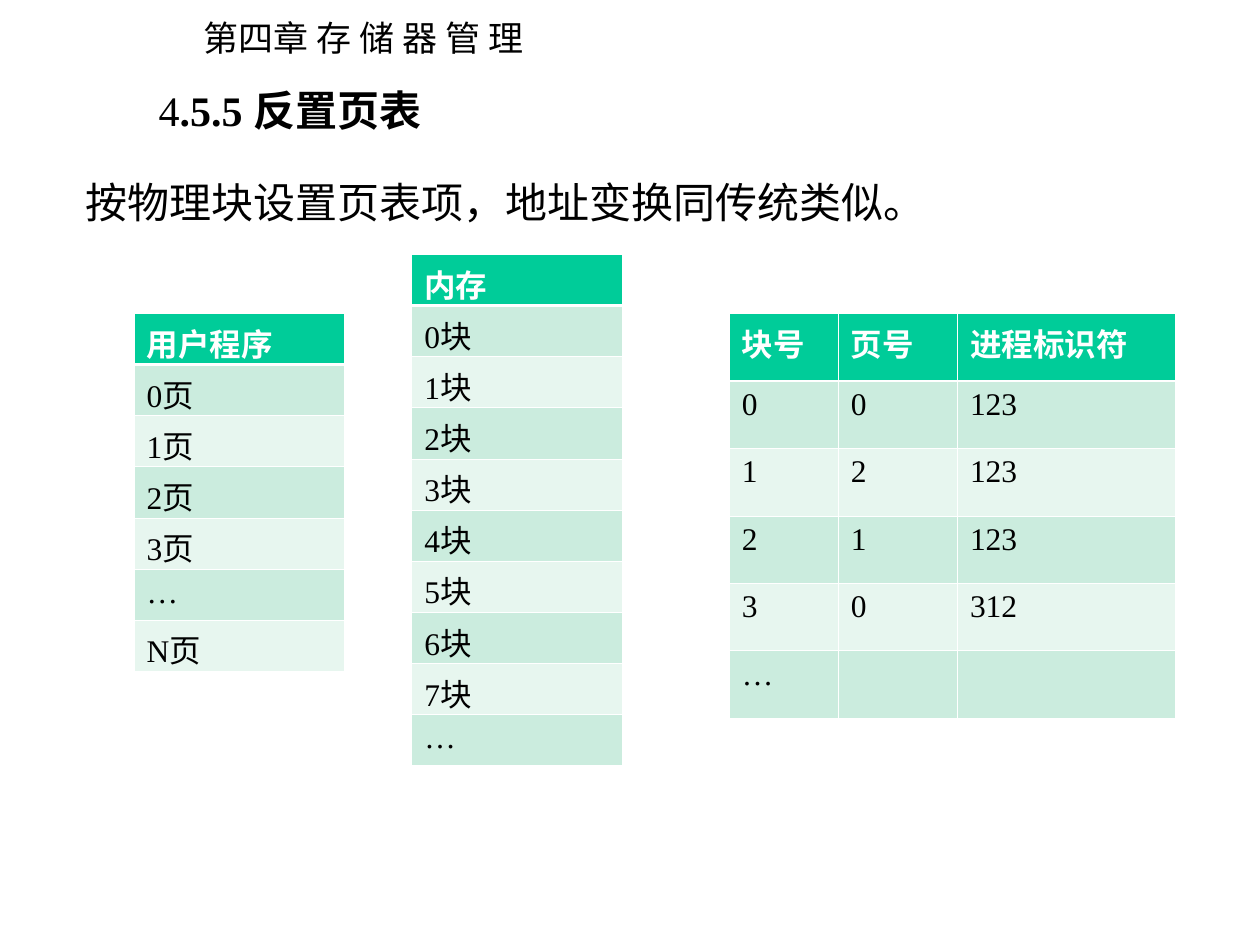
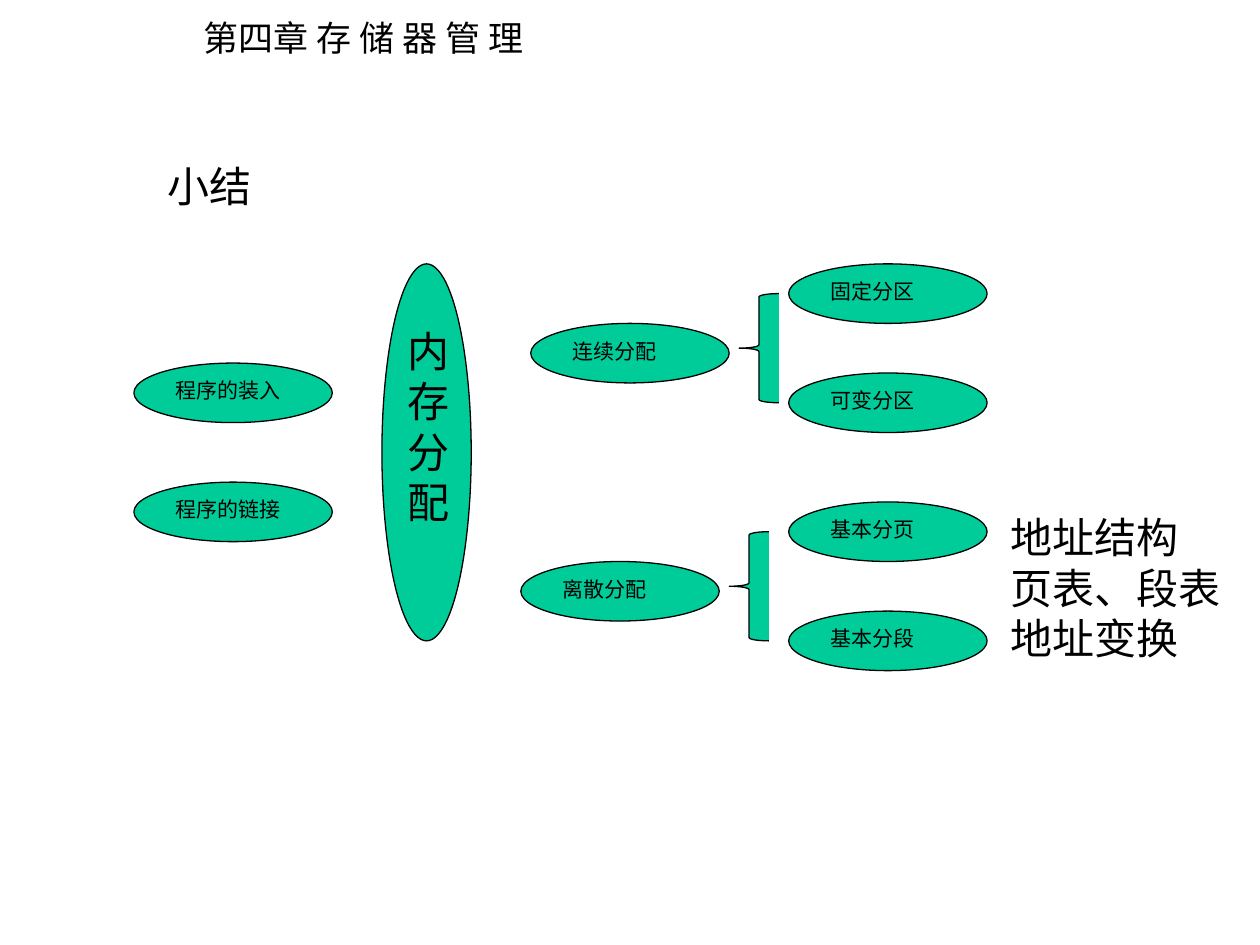
from lxml import etree
from pptx import Presentation
from pptx.dml.color import RGBColor
from pptx.enum.shapes import MSO_SHAPE
from pptx.enum.text import MSO_ANCHOR, PP_ALIGN
from pptx.oxml.ns import qn
from pptx.util import Cm, Pt

# Shared look
GREEN = RGBColor(0x00, 0xCC, 0x99)
BAND_DARK = RGBColor(0xCB, 0xEC, 0xDE)
BAND_LIGHT = RGBColor(0xE7, 0xF6, 0xEF)
BLACK = RGBColor(0, 0, 0)
WHITE = RGBColor(0xFF, 0xFF, 0xFF)
LATIN_FONT = "Times New Roman"
CJK_FONT = "Noto Sans CJK SC"
OVAL = MSO_SHAPE.OVAL
BRACE = MSO_SHAPE.LEFT_BRACE
TOP = MSO_ANCHOR.TOP
LEFT = PP_ALIGN.LEFT
JUSTIFY = PP_ALIGN.JUSTIFY
LINE_HEIGHT = 1.2
THIN, THICK = 0.45, 1.47
OVAL_W, OVAL_H = 4, 1.2


def add_run(paragraph, text, size, color=BLACK, bold=False, font=LATIN_FONT):
    run = paragraph.add_run()
    run.text = text
    run.font.size = Pt(size)
    run.font.bold = bold
    run.font.color.rgb = color
    run.font.name = font
    east_asian = etree.SubElement(run._r.get_or_add_rPr(), qn("a:ea"))
    east_asian.set("typeface", CJK_FONT)


def write_lines(frame, lines, size, font=LATIN_FONT, align=LEFT,
                spacing=LINE_HEIGHT, gap=0):
    """Write lines, each a list of (text, bold) runs, from the top down."""
    frame.word_wrap = True
    frame.vertical_anchor = TOP
    for index, runs in enumerate(lines):
        paragraph = frame.paragraphs[0] if index == 0 else frame.add_paragraph()
        paragraph.alignment = align
        paragraph.line_spacing = Pt(size * spacing)
        if index:
            paragraph.space_before = Pt(gap)
        for text, bold in runs:
            add_run(paragraph, text, size, bold=bold, font=font)


def plain(*lines):
    return [[(line, False)] for line in lines]


def add_text(slide, left, top, width, height, lines, size, **style):
    box = slide.shapes.add_textbox(Cm(left), Cm(top), Cm(width), Cm(height))
    write_lines(box.text_frame, lines, size, **style)
    return box


def add_figure(slide, kind, left, top, width, height):
    figure = slide.shapes.add_shape(kind, Cm(left), Cm(top), Cm(width), Cm(height))
    figure.shadow.inherit = False
    figure.fill.solid()
    figure.fill.fore_color.rgb = GREEN
    figure.line.color.rgb = BLACK
    figure.line.width = Pt(0.75)
    return figure


def add_oval(slide, left, top, *lines, width=OVAL_W, height=OVAL_H, size=12):
    oval = add_figure(slide, OVAL, left, top, width, height)
    write_lines(oval.text_frame, plain(*lines), size)


def set_borders(cell, top, bottom):
    """Draw the white cell lines; they must come before the fill."""
    properties = cell._tc.get_or_add_tcPr()
    widths = {"a:lnL": THIN, "a:lnR": THIN, "a:lnT": top, "a:lnB": bottom}
    for tag, width in widths.items():
        line = etree.SubElement(properties, qn(tag), w=str(Pt(width)))
        fill = etree.SubElement(line, qn("a:solidFill"))
        etree.SubElement(fill, qn("a:srgbClr"), val=str(WHITE))


def add_banded_table(slide, left, top, widths, row_height, rows):
    frame = slide.shapes.add_table(len(rows), len(widths), Cm(left), Cm(top),
                                   Cm(sum(widths)), Cm(row_height * len(rows)))
    table = frame.table
    for column, width in zip(table.columns, widths):
        column.width = Cm(width)
    for r, values in enumerate(rows):
        table.rows[r].height = Cm(row_height)
        for c, value in enumerate(values):
            cell = table.cell(r, c)
            cell.margin_bottom = 0
            set_borders(cell, THICK if r == 1 else THIN, THICK if r == 0 else THIN)
            cell.fill.solid()
            band = BAND_DARK if r % 2 else BAND_LIGHT
            cell.fill.fore_color.rgb = band if r else GREEN
            paragraph = cell.text_frame.paragraphs[0]
            if value:
                add_run(paragraph, value, 18, BLACK if r else WHITE, bold=r == 0)
            else:
                paragraph.font.size = Pt(18)


def add_chapter_slide(deck):
    slide = deck.slides.add_slide(deck.slide_layouts[6])
    add_text(slide, 3.86, 0.2, 7.5, 1.12, plain("第四章 存 储 器 管 理"), 20,
             font=CJK_FONT)
    return slide


def build_inverted_page_table(deck):
    slide = add_chapter_slide(deck)
    # Section heading and statement
    heading = [("4", False), (".5.5 反置页表", True)]
    statement = [("按物理块设置页表项，地址变换同传统类似。", False)]
    section = add_text(slide, 1.47, 1.27, 22.43, 3.43, [heading, statement], 24,
                       align=JUSTIFY, spacing=1.3 * LINE_HEIGHT, gap=15)
    heading_properties = section.text_frame.paragraphs[0]._p.get_or_add_pPr()
    heading_properties.set("marL", str(Cm(1.48)))
    heading_properties.set("indent", "0")

    # Program pages, inverted page table, memory blocks
    pages = ["用户程序", *(f"{n}页" for n in range(4)), "…", "N页"]
    blocks = ["内存", *(f"{n}块" for n in range(8)), "…"]
    entries = [
        ("块号", "页号", "进程标识符"),
        ("0", "0", "123"),
        ("1", "2", "123"),
        ("2", "1", "123"),
        ("3", "0", "312"),
        ("…", "", ""),
    ]
    add_banded_table(slide, 2.7, 6.32, [4.25], 1.03, [[page] for page in pages])
    add_banded_table(slide, 14.7, 6.32, [2.2, 2.4, 4.4], 1.36, entries)
    add_banded_table(slide, 8.3, 5.13, [4.25], 1.03, [[block] for block in blocks])


def build_summary(deck):
    slide = add_chapter_slide(deck)
    add_text(slide, 3.12, 3.12, 3, 1.27, plain("小结"), 24)

    # Program preparation and memory allocation
    add_oval(slide, 2.7, 7.32, "程序的装入")
    add_oval(slide, 2.7, 9.72, "程序的链接")
    add_oval(slide, 7.7, 5.32, "内", "存分配", width=1.8, height=7.6, size=24)

    # Allocation methods, each with a brace and two variants
    branches = [
        (10.7, 6.52, "连续分配", 5.32, ("固定分区", "可变分区")),
        (10.5, 11.32, "离散分配", 10.12, ("基本分页", "基本分段")),
    ]
    variant_gap = 2.2
    for left, top, method, first_top, variants in branches:
        add_oval(slide, left, top, method)
        for index, variant in enumerate(variants):
            add_oval(slide, 15.9, first_top + index * variant_gap, variant)
        add_figure(slide, BRACE, left + OVAL_W + 0.2, first_top + OVAL_H / 2,
                   0.8, variant_gap)

    # Topics of discrete allocation
    add_text(slide, 20.12, 10.19, 5.2, 3.3,
             plain("地址结构", "页表、段表", "地址变换"), 24)


def main():
    deck = Presentation()
    deck.slide_width, deck.slide_height = Cm(25.4), Cm(19.05)
    build_inverted_page_table(deck)
    build_summary(deck)
    deck.save("out.pptx")


if __name__ == "__main__":
    main()
